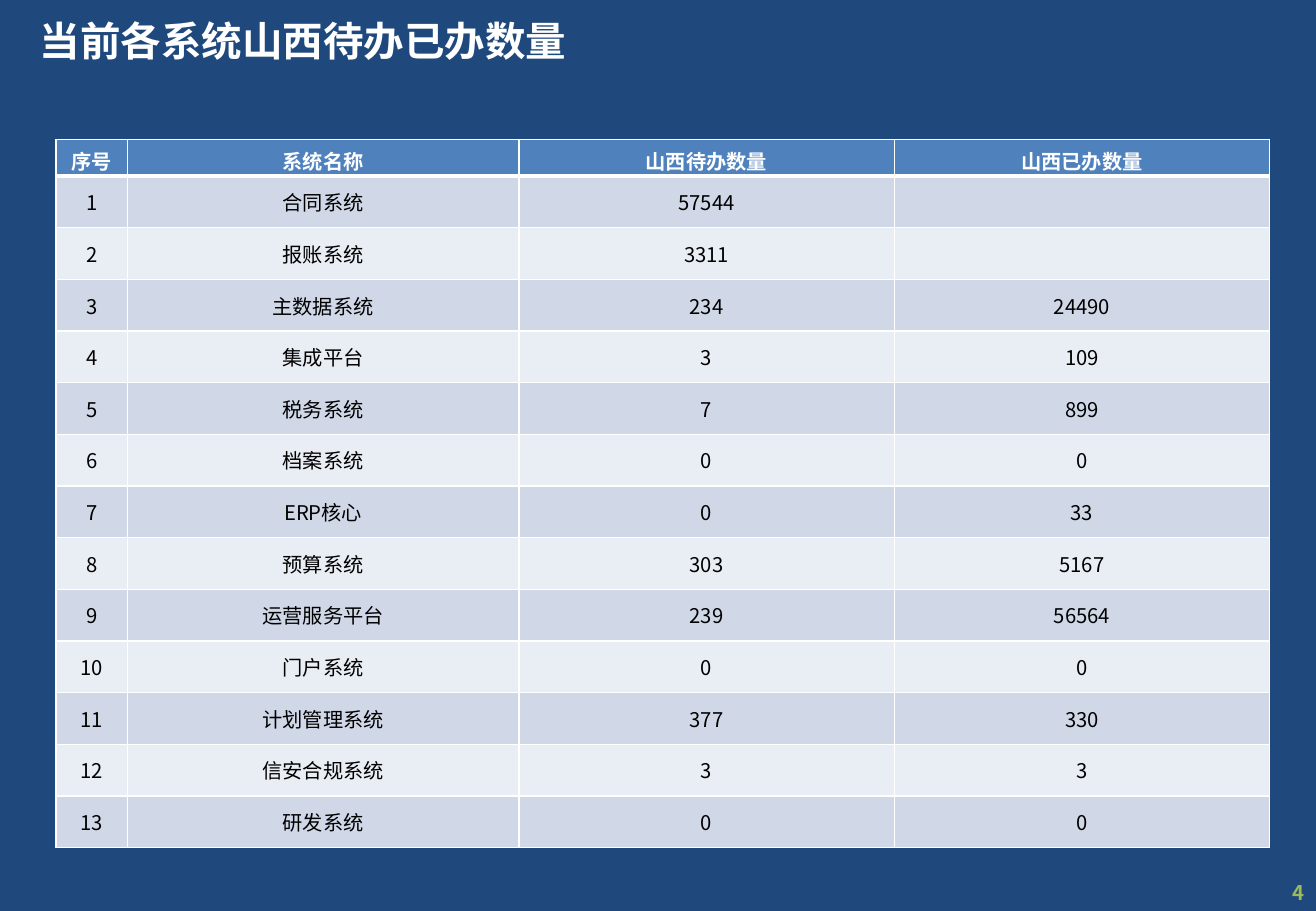
from lxml.etree import SubElement
from pptx import Presentation
from pptx.dml.color import RGBColor
from pptx.enum.text import MSO_ANCHOR, PP_ALIGN
from pptx.oxml.ns import qn
from pptx.util import Inches, Pt

FONT = "Noto Sans CJK SC"
WHITE = "FFFFFF"


def color(value):
    return RGBColor.from_string(value)


def write(paragraph, text, size, text_color, bold, alignment):
    paragraph.alignment = alignment
    run = paragraph.add_run()
    run.text = text
    formats = {"name": FONT, "size": Pt(size), "bold": bold}
    for name, value in formats.items():
        setattr(run.font, name, value)
    run.font.color.rgb = color(text_color)
    SubElement(run.font._element, qn("a:ea"), typeface=FONT)


presentation = Presentation()
presentation.slide_width = Inches(10.83)
presentation.slide_height = Inches(7.5)
slide = presentation.slides.add_slide(presentation.slide_layouts[6])
slide.background.fill.solid()
slide.background.fill.fore_color.rgb = color("1F497D")

labels = [
    ("当前各系统山西待办已办数量", (0.23, 0.13, 9.75, 0.64), 0, 24, WHITE, PP_ALIGN.LEFT),
    ("4", (10.02, 7.23, 0.81, 0.27), 0.02, 12, "9BBB59", PP_ALIGN.RIGHT),
]
for text, box, top_margin, size, text_color, alignment in labels:
    frame = slide.shapes.add_textbox(*map(Inches, box)).text_frame
    frame.word_wrap = True
    frame.margin_top = Inches(top_margin)
    frame.margin_bottom = 0
    write(frame.paragraphs[0], text, size, text_color, True, alignment)

headings = ("序号", "系统名称", "山西待办数量", "山西已办数量")
systems = [
    ("合同系统", "57544", ""),
    ("报账系统", "3311", ""),
    ("主数据系统", "234", "24490"),
    ("集成平台", "3", "109"),
    ("税务系统", "7", "899"),
    ("档案系统", "0", "0"),
    ("ERP核心", "0", "33"),
    ("预算系统", "303", "5167"),
    ("运营服务平台", "239", "56564"),
    ("门户系统", "0", "0"),
    ("计划管理系统", "377", "330"),
    ("信安合规系统", "3", "3"),
    ("研发系统", "0", "0"),
]
rows = [headings] + [(str(number), *system) for number, system in enumerate(systems, 1)]

table_height = 5.83
header_height = 0.3
row_height = (table_height - header_height) / len(systems)
table = slide.shapes.add_table(
    len(rows), len(headings), Inches(0.46), Inches(1.15), Inches(10), Inches(table_height)
).table
for column, width in zip(table.columns, (0.59, 3.22, 3.09, 3.09)):
    column.width = Inches(width)

for row_index, values in enumerate(rows):
    is_header = row_index == 0
    table.rows[row_index].height = Inches(header_height if is_header else row_height)
    fill_color = "4F81BD" if is_header else ("E9EDF4", "D0D8E8")[row_index % 2]
    for column_index, text in enumerate(values):
        cell = table.cell(row_index, column_index)
        formats = {
            "vertical_anchor": MSO_ANCHOR.MIDDLE,
            "margin_left": Inches(0.05),
            "margin_right": Inches(0.05),
            "margin_top": Inches(0.05),
            "margin_bottom": Inches(0.01 if is_header else 0.05),
        }
        for name, value in formats.items():
            setattr(cell, name, value)
        if text:
            text_color = WHITE if is_header else "000000"
            write(cell.text_frame.paragraphs[0], text, 12, text_color, is_header, PP_ALIGN.CENTER)
        properties = cell._tc.get_or_add_tcPr()
        widths = {
            "a:lnL": 1,
            "a:lnR": 1,
            "a:lnT": 3 if row_index == 1 else 1,
            "a:lnB": 3 if is_header else 1,
        }
        for side, width in widths.items():
            line = SubElement(properties, qn(side), w=str(Pt(width)))
            SubElement(SubElement(line, qn("a:solidFill")), qn("a:srgbClr"), val=WHITE)
        cell.fill.solid()
        cell.fill.fore_color.rgb = color(fill_color)

presentation.save("out.pptx")
